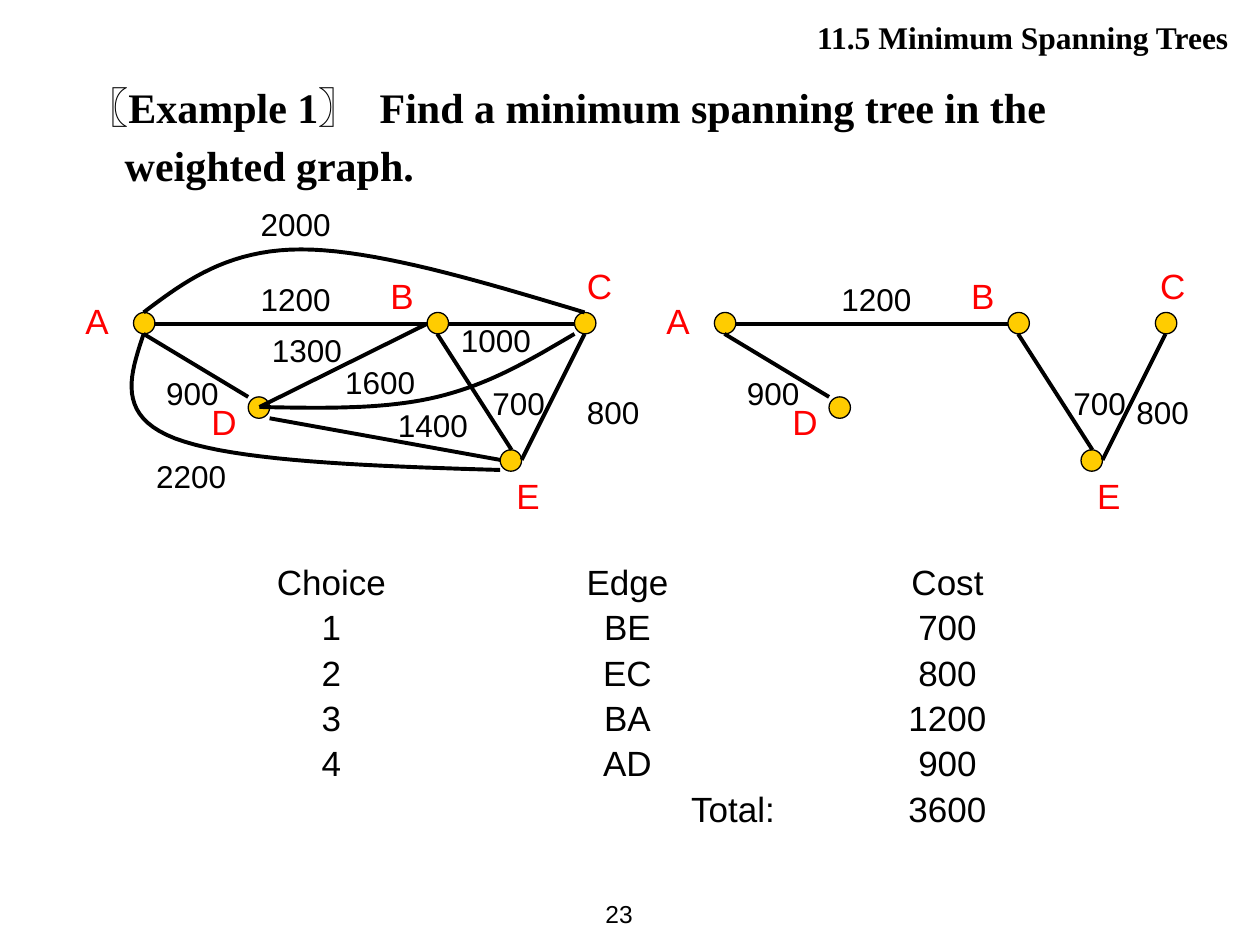
from lxml import etree
from pptx import Presentation
from pptx.dml.color import RGBColor
from pptx.enum.shapes import MSO_CONNECTOR, MSO_SHAPE
from pptx.enum.text import MSO_ANCHOR, MSO_AUTO_SIZE, PP_ALIGN
from pptx.oxml.ns import qn
from pptx.util import Inches, Pt

BLACK = RGBColor(0x00, 0x00, 0x00)
RED = RGBColor(0xFF, 0x00, 0x00)
GOLD = RGBColor(0xFF, 0xCC, 0x00)

OVAL = MSO_SHAPE.OVAL
STRAIGHT = MSO_CONNECTOR.STRAIGHT
LEFT, CENTER, RIGHT = PP_ALIGN.LEFT, PP_ALIGN.CENTER, PP_ALIGN.RIGHT
TOP, MIDDLE = MSO_ANCHOR.TOP, MSO_ANCHOR.MIDDLE
NO_AUTOSIZE = MSO_AUTO_SIZE.NONE

WEIGHT_FONT = {"name": "Arial", "size": Pt(18), "bold": False}
VERTEX_FONT = {"name": "Arial", "size": Pt(20), "bold": False}
PAGE_FONT = {"name": "Arial", "size": Pt(14), "bold": False}
HEADER_FONT = {"name": "Times New Roman", "size": Pt(18), "bold": True}
EXAMPLE_FONT = {"name": "Times New Roman", "size": Pt(24), "bold": True}
SPACE_FONT = {"name": "Times New Roman", "size": Pt(28), "bold": False}

VERTEX_SIZE = 0.17
VERTICES = {
    "A": (1.06, 2.48),
    "B": (3.39, 2.48),
    "C": (4.56, 2.48),
    "E": (3.97, 3.57),
    "D": (1.97, 3.15),
}
VERTEX_LABELS = {
    "A": (0.58, 2.33),
    "B": (3.0, 2.13),
    "C": (4.56, 2.05),
    "D": (1.58, 3.13),
    "E": (4.0, 3.72),
}
STRAIGHT_EDGES = {
    "1200": ((1.22, 2.57), (3.39, 2.57)),
    "1000": ((3.56, 2.57), (4.56, 2.57)),
    "900": ((1.14, 2.65), (1.97, 3.15)),
    "1400": ((2.14, 3.32), (3.97, 3.65)),
    "800": ((4.14, 3.65), (4.64, 2.65)),
    "700": ((3.47, 2.65), (4.06, 3.57)),
    "1300": ((2.06, 3.23), (3.39, 2.57)),
}
CURVED_EDGES = {
    "2000": [(1.14, 2.48), (1.47, 2.23), (1.81, 1.98), (2.39, 1.98),
             (2.97, 1.98), (3.81, 2.23), (4.64, 2.48)],
    "2200": [(1.14, 2.65), (1.03, 2.98), (0.92, 3.3), (1.39, 3.48),
             (1.86, 3.66), (2.92, 3.7), (3.97, 3.73)],
    "1600": [(2.06, 3.23), (2.56, 3.24), (3.06, 3.25), (3.47, 3.15),
             (3.89, 3.05), (4.22, 2.85), (4.56, 2.65)],
}
WEIGHT_LABELS = {
    "2000": (1.97, 1.58),
    "1200": (1.97, 2.17),
    "1000": (3.56, 2.5),
    "900": (1.22, 2.92),
    "1300": (2.06, 2.58),
    "1600": (2.64, 2.83),
    "1400": (3.06, 3.17),
    "700": (3.81, 3.0),
    "800": (4.56, 3.07),
    "2200": (1.14, 3.58),
}
TREE_OFFSET = 4.61
TREE_EDGES = ("1200", "900", "700", "800")
TREE_LABEL_MOVES = {"C": (4.5, 2.05), "800": (4.31, 3.07)}

COLUMN_WIDTHS = (1.1, 3.6, 1.48)
ROW_HEIGHT = 0.36
CHOICES = [
    ("Choice", "Edge", "Cost"),
    ("1", "BE", "700"),
    ("2", "EC", "800"),
    ("3", "BA", "1200"),
    ("4", "AD", "900"),
    ("", "Total:", "3600"),
]


def add_span(para, text, font, color=BLACK):
    span = para.add_run()
    span.text = text
    for name, value in font.items():
        setattr(span.font, name, value)
    span.font.color.rgb = color


def place(shape, left, top, width, height):
    bounds = {"left": left, "top": top, "width": width, "height": height}
    for name, value in bounds.items():
        setattr(shape, name, Inches(value))


def add_label(shapes, text, position, size, font, color=BLACK, align=LEFT):
    box = shapes.add_textbox(*map(Inches, (*position, *size)))
    box.text_frame.word_wrap = True
    para = box.text_frame.paragraphs[0]
    para.alignment = align
    add_span(para, text, font, color)
    return box


def add_vertex(shapes, left, top):
    vertex = shapes.add_shape(
        OVAL, Inches(left), Inches(top), Inches(VERTEX_SIZE), Inches(VERTEX_SIZE))
    vertex.shadow.inherit = False
    vertex.fill.solid()
    vertex.fill.fore_color.rgb = GOLD
    vertex.line.color.rgb = BLACK
    vertex.line.width = Pt(0.75)


def style_edge(edge):
    edge.line.color.rgb = BLACK
    edge.line.width = Pt(2.25)


def add_straight_edge(shapes, start, end):
    edge = shapes.add_connector(STRAIGHT, *map(Inches, (*start, *end)))
    etree.SubElement(edge._element.spPr, qn("a:effectLst"))
    style_edge(edge)


def bezier_point(controls, t):
    weights = ((1 - t) ** 3, 3 * t * (1 - t) ** 2, 3 * t ** 2 * (1 - t), t ** 3)
    return tuple(
        Inches(sum(weight * value for weight, value in zip(weights, axis)))
        for axis in zip(*controls))


def add_curved_edge(shapes, controls, steps=20):
    points = [
        bezier_point(controls[first:first + 4], step / steps)
        for first in range(0, len(controls) - 1, 3)
        for step in range(1, steps + 1)]
    builder = shapes.build_freeform(*map(Inches, controls[0]))
    builder.add_line_segments(points, close=False)
    edge = builder.convert_to_shape()
    edge.shadow.inherit = False
    edge.fill.background()
    style_edge(edge)


def add_graph(shapes, weights, offset=0, moves=None):
    moves = moves or {}

    def shift(point):
        return point[0] + offset, point[1]

    for corner in VERTICES.values():
        add_vertex(shapes, *shift(corner))
    for weight, ends in STRAIGHT_EDGES.items():
        if weight in weights:
            add_straight_edge(shapes, *map(shift, ends))
    for weight, controls in CURVED_EDGES.items():
        if weight in weights:
            add_curved_edge(shapes, list(map(shift, controls)))
    for weight in weights:
        position = shift(moves.get(weight, WEIGHT_LABELS[weight]))
        add_label(shapes, weight, position, (0.83, 0.4), WEIGHT_FONT)
    for name, corner in VERTEX_LABELS.items():
        position = shift(moves.get(name, corner))
        add_label(shapes, name, position, (0.5, 0.43), VERTEX_FONT, RED)


def add_choice_table(shapes):
    size = (sum(COLUMN_WIDTHS), ROW_HEIGHT * len(CHOICES))
    table = shapes.add_table(
        len(CHOICES), len(COLUMN_WIDTHS), *map(Inches, (2.08, 4.45, *size))).table
    table.first_row = table.horz_banding = False
    for column, width in zip(table.columns, COLUMN_WIDTHS):
        column.width = Inches(width)
    for row, values in zip(table.rows, CHOICES):
        row.height = Inches(ROW_HEIGHT)
        for cell, text in zip(row.cells, values):
            is_total = text == "Total:"
            cell.fill.background()
            cell.vertical_anchor = MIDDLE
            cell.margin_left = cell.margin_top = cell.margin_bottom = 0
            cell.margin_right = Inches(0.63 if is_total else 0)
            para = cell.text_frame.paragraphs[0]
            para.alignment = RIGHT if is_total else CENTER
            add_span(para, text, VERTEX_FONT)


def fill_header(title):
    place(title, 3.98, 0.04, 5.94, 0.5)
    frame = title.text_frame
    frame.auto_size = NO_AUTOSIZE
    frame.vertical_anchor = MIDDLE
    frame.margin_right = Inches(0.17)
    para = frame.paragraphs[0]
    para.alignment = RIGHT
    add_span(para, "11.5 Minimum Spanning Trees", HEADER_FONT)


def fill_example(body):
    place(body, 0.51, 0.6, 8.82, 0.71)
    frame = body.text_frame
    frame.auto_size = NO_AUTOSIZE
    frame.vertical_anchor = TOP
    para = frame.paragraphs[0]
    properties = para._p.get_or_add_pPr()
    properties.set("marL", str(Inches(0.38)))
    properties.set("indent", str(Inches(-0.38)))
    etree.SubElement(properties, qn("a:buNone"))
    text = " 〖Example 1〗  Find a minimum spanning tree in the weighted graph."
    add_span(para, text, EXAMPLE_FONT)
    add_span(para, " ", SPACE_FONT)


def main():
    deck = Presentation()
    deck.slide_width, deck.slide_height = Inches(10), Inches(7.5)
    page = deck.slides.add_slide(deck.slide_layouts[1])
    fill_header(page.shapes.title)
    fill_example(page.placeholders[1])
    number = add_label(page.shapes, "23", (4.45, 7), (0.67, 0.5), PAGE_FONT, align=RIGHT)
    number.text_frame.vertical_anchor = MIDDLE
    add_choice_table(page.shapes)
    add_graph(page.shapes.add_group_shape().shapes, WEIGHT_LABELS)
    add_graph(page.shapes, TREE_EDGES, TREE_OFFSET, TREE_LABEL_MOVES)
    deck.save("out.pptx")


if __name__ == "__main__":
    main()
